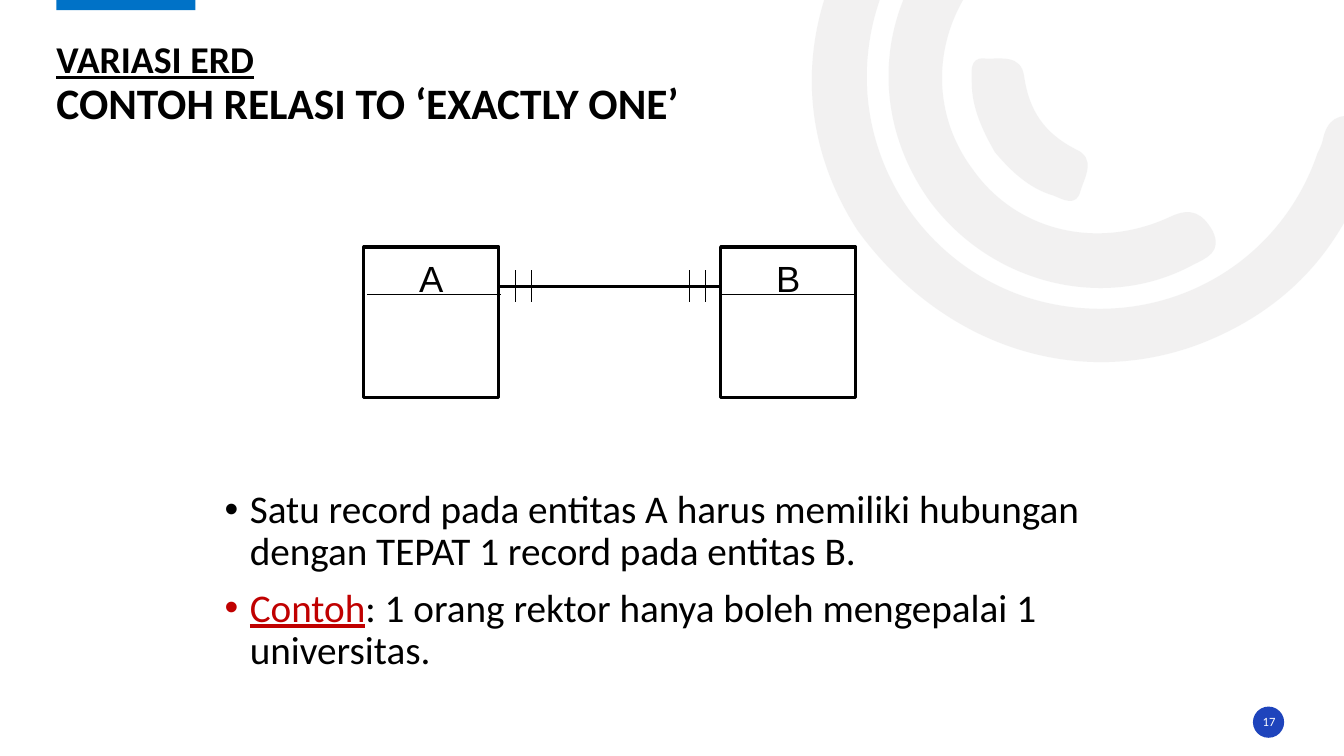
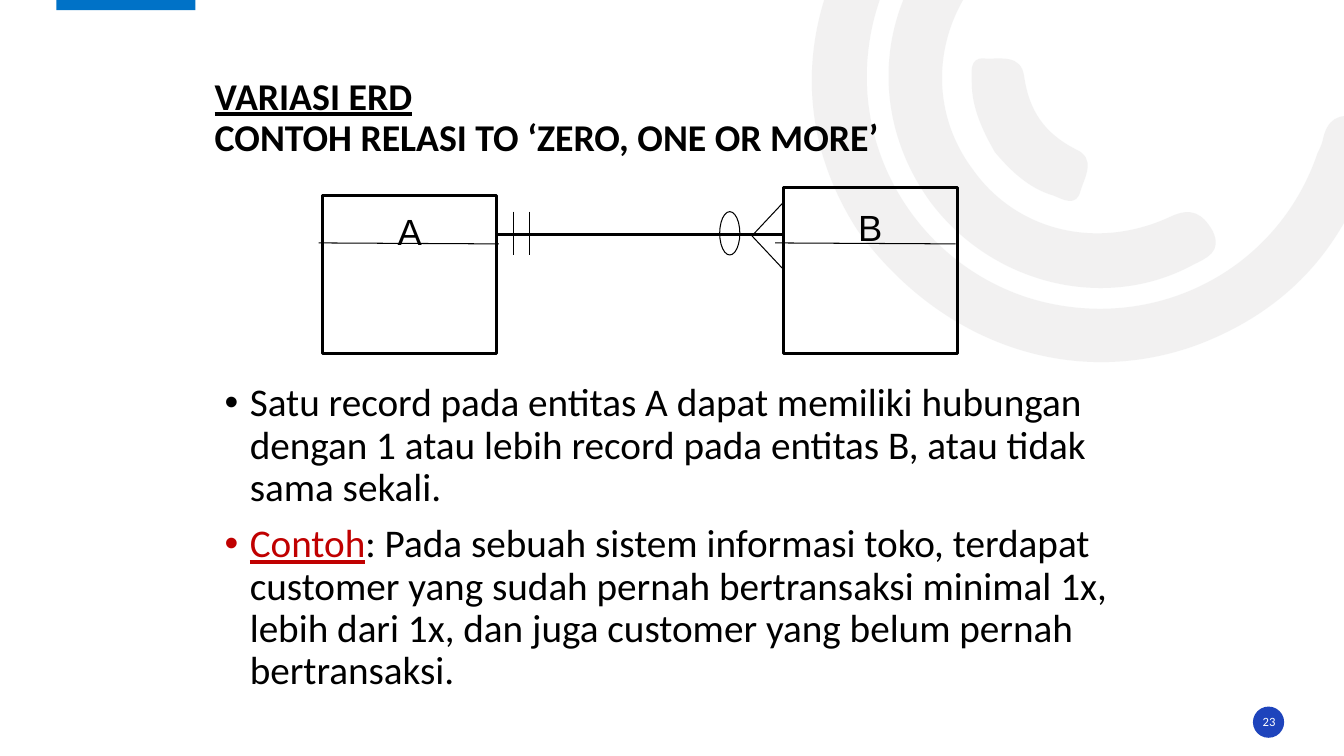
from dataclasses import dataclass
from math import cos, radians, sin

from lxml.etree import SubElement
from pptx import Presentation
from pptx.dml.color import RGBColor
from pptx.enum.shapes import MSO_CONNECTOR, MSO_SHAPE
from pptx.enum.text import MSO_ANCHOR, MSO_AUTO_SIZE, PP_ALIGN
from pptx.oxml.ns import qn
from pptx.util import Inches, Pt

BLACK = RGBColor(0x00, 0x00, 0x00)
WHITE = RGBColor(0xFF, 0xFF, 0xFF)
RED = RGBColor(0xC0, 0x00, 0x00)
BAND_BLUE = RGBColor(0x00, 0x72, 0xC7)
BADGE_BLUE = RGBColor(0x1E, 0x44, 0xBC)
RING_GREY = RGBColor(0xE7, 0xE6, 0xE6)
RING_OPACITY = 53
RING_ANGLE = 144.2

BODY_FONT = "Calibri"
ENTITY_FONT = "Arial"
THIN, THICK = 0.75, 2.25
TICK_GAP = 0.16
ENTITY_TEXT_HEIGHT = 1.3

# Each ring is a start point followed by three points per Bézier segment.
RINGS = (
    ((8.51, 2.29), (7.99, 1.49), (7.87, 0.5), (8.38, -0.5),
     (8.9, -1.52), (9.76, -2.03), (10.9, -2.07),
     (11.05, -2.07), (11.21, -2.1), (11.31, -1.95),
     (11.44, -1.75), (11.27, -1.54), (10.98, -1.54),
     (9.67, -1.54), (8.65, -0.59), (8.6, 0.68),
     (8.56, 1.81), (9.36, 2.81), (10.46, 3.02),
     (11.6, 3.24), (12.7, 2.61), (13.07, 1.52),
     (13.09, 1.48), (13.11, 1.44), (13.12, 1.4),
     (13.16, 1.19), (13.27, 1.11), (13.49, 1.17),
     (13.73, 1.24), (13.67, 1.41), (13.61, 1.56),
     (13.34, 2.45), (12.78, 3.07), (11.91, 3.41),
     (10.7, 3.87), (9.36, 3.45), (8.51, 2.29)),
    ((9.22, 1.99), (8.62, 1.15), (8.69, 0.07), (9.4, -0.68),
     (9.51, -0.79), (9.62, -0.95), (9.8, -0.78),
     (9.95, -0.64), (9.97, -0.5), (9.79, -0.32),
     (9.25, 0.26), (9.2, 1.08), (9.65, 1.68),
     (10.08, 2.29), (10.88, 2.49), (11.61, 2.15),
     (11.82, 2.05), (11.93, 2.12), (12.03, 2.29),
     (12.13, 2.5), (11.97, 2.56), (11.83, 2.63),
     (10.96, 3.1), (9.83, 2.82), (9.22, 1.99)),
    ((9.87, 1.51), (9.75, 1.3), (9.64, 1.07), (9.64, 0.82),
     (9.64, 0.73), (9.61, 0.57), (9.76, 0.58),
     (9.92, 0.59), (10.13, 0.53), (10.16, 0.76),
     (10.21, 1.1), (10.36, 1.32), (10.67, 1.48),
     (10.88, 1.57), (10.76, 1.76), (10.72, 1.89),
     (10.68, 2.06), (10.55, 1.98), (10.45, 1.94),
     (10.21, 1.87), (10.03, 1.7), (9.87, 1.51)),
)


@dataclass(frozen=True)
class Box:
    left: float
    top: float
    width: float
    height: float

    def lengths(self):
        return tuple(map(Inches, (self.left, self.top, self.width, self.height)))


@dataclass(frozen=True)
class Entity:
    name: str
    box: Box


@dataclass(frozen=True)
class Line:
    x1: float
    y1: float
    x2: float
    y2: float
    width: float = THIN


@dataclass(frozen=True)
class ErdSlide:
    number: str
    title: str
    title_size: int
    title_box: Box
    body_box: Box
    rule: str
    example: str
    entities: tuple
    lines: tuple
    circles: tuple = ()


def tick_pair(x, top, bottom):
    """Two upright strokes, the sign for exactly one."""
    return tuple(Line(tick, top, tick, bottom) for tick in (x, x + TICK_GAP))


def crow_foot(x, y, end_x, spread):
    return tuple(Line(x, y, end_x, y + side * spread) for side in (-1, 1))


SLIDES = (
    ErdSlide(
        number="17",
        title="CONTOH RELASI TO ‘EXACTLY ONE’",
        title_size=31,
        title_box=Box(0.56, 0.27, 12.19, 1.01),
        body_box=Box(2.13, 4.81, 9, 1.93),
        rule="Satu record pada entitas A harus memiliki hubungan dengan "
             "TEPAT 1 record pada entitas B.",
        example=": 1 orang rektor hanya boleh mengepalai 1 universitas.",
        entities=(Entity("A", Box(3.61, 2.45, 1.34, 1.49)),
                  Entity("B", Box(7.15, 2.45, 1.34, 1.49))),
        lines=(Line(4.95, 2.84, 7.16, 2.84, THICK),
               *tick_pair(5.11, 2.68, 3),
               *tick_pair(6.84, 2.68, 3),
               Line(3.64, 2.92, 4.97, 2.92),
               Line(7.16, 2.92, 8.48, 2.92)),
    ),
    ErdSlide(
        number="23",
        title="CONTOH RELASI TO ‘ZERO, ONE OR MORE’",
        title_size=27,
        title_box=Box(2.13, 0.45, 7.84, 1.13),
        body_box=Box(2.13, 3.75, 9, 3),
        rule="Satu record pada entitas A dapat memiliki hubungan dengan "
             "1 atau lebih record pada entitas B, atau tidak sama sekali.",
        example=": Pada sebuah sistem informasi toko, terdapat customer yang "
                "sudah pernah bertransaksi minimal 1x, lebih dari 1x, dan juga "
                "customer yang belum pernah bertransaksi.",
        entities=(Entity("A", Box(3.2, 1.94, 1.73, 1.57)),
                  Entity("B", Box(7.77, 1.86, 1.73, 1.65))),
        lines=(Line(4.94, 2.33, 7.78, 2.33, THICK),
               *tick_pair(5.09, 2.1, 2.53),
               *crow_foot(7.46, 2.34, 7.76, 0.32),
               Line(3.16, 2.41, 4.95, 2.42),
               Line(7.69, 2.41, 9.48, 2.42)),
        circles=(Box(7.14, 2.1, 0.2, 0.43),),
    ),
)


def add_text(paragraph, text: str, *, size: float, font: str = BODY_FONT,
             color: RGBColor = BLACK, bold: bool = False,
             underline: bool = False) -> None:
    run = paragraph.add_run()
    run.text = text
    run.font.name = font
    run.font.size = Pt(size)
    run.font.color.rgb = color
    run.font.bold = bold
    run.font.underline = underline


def set_margins(frame, margin: float) -> None:
    frame.margin_left = frame.margin_right = Inches(margin)
    frame.margin_top = frame.margin_bottom = Inches(margin)


def fill_solid(shape, color: RGBColor) -> None:
    shape.shadow.inherit = False
    shape.fill.solid()
    shape.fill.fore_color.rgb = color
    shape.line.fill.background()


def add_outline(slide, kind, box: Box, width: float):
    shape = slide.shapes.add_shape(kind, *box.lengths())
    shape.shadow.inherit = False
    shape.fill.background()
    shape.line.color.rgb = BLACK
    shape.line.width = Pt(width)
    return shape


def rotate(x: float, y: float, degrees: float):
    """Turn a point clockwise about the slide's top left corner."""
    angle = radians(degrees)
    return x * cos(angle) - y * sin(angle), x * sin(angle) + y * cos(angle)


def lines_to_curves(shape) -> None:
    """Join every three line segments of a freeform into a Bézier segment."""
    segments = list(shape.element.iter(qn("a:lnTo")))
    for first, second, third in zip(*[iter(segments)] * 3):
        first.tag = qn("a:cubicBezTo")
        for segment in (second, third):
            first.append(segment[0])
            segment.getparent().remove(segment)


def add_ring(slide, ring):
    start, *points = [tuple(map(Inches, rotate(x, y, -RING_ANGLE))) for x, y in ring]
    builder = slide.shapes.build_freeform(*start)
    builder.add_line_segments(points, close=True)
    shape = builder.convert_to_shape()
    lines_to_curves(shape)
    center = rotate(shape.left + shape.width / 2, shape.top + shape.height / 2,
                    RING_ANGLE)
    shape.left = round(center[0] - shape.width / 2)
    shape.top = round(center[1] - shape.height / 2)
    shape.rotation = RING_ANGLE
    fill_solid(shape, RING_GREY)
    color = shape.element.spPr.find(f"{qn('a:solidFill')}/{qn('a:srgbClr')}")
    SubElement(color, qn("a:alpha"), val=str(RING_OPACITY * 1000))
    return shape


def decorate_layout(layout, slide) -> None:
    """Draw the shared shapes on a slide, then move them to its layout."""
    for placeholder in list(layout.placeholders):
        if placeholder.placeholder_format.idx != 0:
            layout.shapes.element.remove(placeholder.element)
    shapes = [add_ring(slide, ring) for ring in RINGS]
    for kind, box, color in (
        (MSO_SHAPE.RECTANGLE, Box(0.56, -0.02, 1.38, 0.12), BAND_BLUE),
        (MSO_SHAPE.OVAL, Box(12.43, 7.01, 0.31, 0.31), BADGE_BLUE),
    ):
        shape = slide.shapes.add_shape(kind, *box.lengths())
        fill_solid(shape, color)
        shapes.append(shape)
    for shape in shapes:
        layout.shapes.element.append(shape.element)


def set_title(slide, content: ErdSlide) -> None:
    title = slide.shapes.title
    title.left, title.top, title.width, title.height = content.title_box.lengths()
    frame = title.text_frame
    frame.auto_size = MSO_AUTO_SIZE.NONE
    frame.word_wrap = True
    frame.vertical_anchor = MSO_ANCHOR.BOTTOM
    set_margins(frame, 0)
    paragraph = frame.paragraphs[0]
    paragraph.alignment = PP_ALIGN.LEFT
    paragraph.line_spacing = 0.9
    add_text(paragraph, "VARIASI ERD", size=27, bold=True, underline=True)
    paragraph.add_line_break()
    SubElement(paragraph._p[-1], qn("a:rPr"), sz="2700")
    add_text(paragraph, content.title, size=content.title_size, bold=True)


def add_page_number(slide, number: str) -> None:
    frame = slide.shapes.add_textbox(*Box(12.43, 7.06, 0.32, 0.2).lengths()).text_frame
    frame.word_wrap = True
    frame.vertical_anchor = MSO_ANCHOR.MIDDLE
    set_margins(frame, 0)
    frame.paragraphs[0].alignment = PP_ALIGN.CENTER
    add_text(frame.paragraphs[0], number, size=9, color=WHITE)


def format_bullet(paragraph, color: RGBColor) -> None:
    paragraph.line_spacing = 0.9
    paragraph.space_before = Pt(10)
    properties = paragraph._p.get_or_add_pPr()
    properties.set("marL", str(Inches(0.25)))
    properties.set("indent", str(Inches(-0.25)))
    bullet_color = SubElement(properties, qn("a:buClr"))
    SubElement(bullet_color, qn("a:srgbClr"), val=str(color))
    SubElement(properties, qn("a:buFont"), typeface="Arial")
    SubElement(properties, qn("a:buChar"), char="•")


def add_body(slide, content: ErdSlide) -> None:
    frame = slide.shapes.add_textbox(*content.body_box.lengths()).text_frame
    frame.word_wrap = True
    rule, example = frame.paragraphs[0], frame.add_paragraph()
    format_bullet(rule, BLACK)
    format_bullet(example, RED)
    add_text(rule, content.rule, size=28)
    add_text(example, "Contoh", size=28, color=RED, underline=True)
    add_text(example, content.example, size=28)


def add_entity(slide, entity: Entity) -> None:
    shape = add_outline(slide, MSO_SHAPE.RECTANGLE, entity.box, THICK)
    frame = shape.text_frame
    frame.vertical_anchor = MSO_ANCHOR.TOP
    frame.margin_top = Inches((entity.box.height - ENTITY_TEXT_HEIGHT) / 2)
    frame.paragraphs[0].alignment = PP_ALIGN.CENTER
    add_text(frame.paragraphs[0], entity.name, size=26, font=ENTITY_FONT)


def add_line(slide, line: Line) -> None:
    ends = map(Inches, (line.x1, line.y1, line.x2, line.y2))
    connector = slide.shapes.add_connector(MSO_CONNECTOR.STRAIGHT, *ends)
    connector.line.color.rgb = BLACK
    connector.line.width = Pt(line.width)
    SubElement(connector.element.spPr, qn("a:effectLst"))


def main() -> None:
    presentation = Presentation()
    presentation.slide_width, presentation.slide_height = Inches(40 / 3), Inches(7.5)
    layout = presentation.slide_layouts[5]
    for index, content in enumerate(SLIDES):
        slide = presentation.slides.add_slide(layout)
        if index == 0:
            decorate_layout(layout, slide)
        set_title(slide, content)
        add_page_number(slide, content.number)
        for entity in content.entities:
            add_entity(slide, entity)
        for line in content.lines:
            add_line(slide, line)
        for circle in content.circles:
            add_outline(slide, MSO_SHAPE.OVAL, circle, THIN)
        add_body(slide, content)
    presentation.save("out.pptx")


if __name__ == "__main__":
    main()
